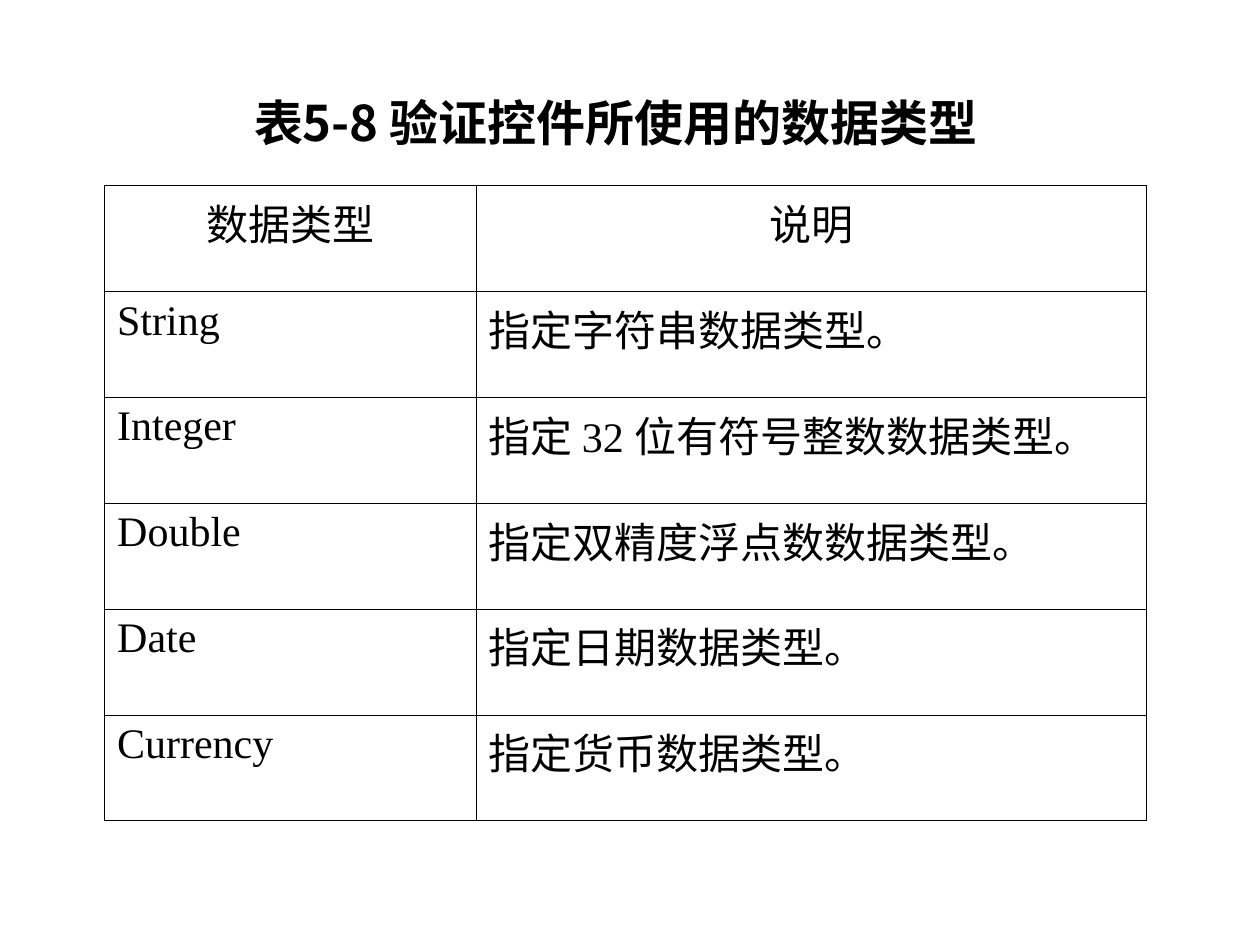
from dataclasses import dataclass

from lxml.etree import SubElement
from pptx import Presentation
from pptx.dml.color import RGBColor
from pptx.enum.text import MSO_ANCHOR as Anchor, MSO_AUTO_SIZE as AutoSize, PP_ALIGN as Align
from pptx.oxml.ns import qn
from pptx.util import Pt


@dataclass(frozen=True)
class Theme:
    ink: str = "000000"
    latin: str = "Times New Roman"
    cjk: str = "Noto Sans CJK SC"
    title_size: float = 28
    body_size: float = 24
    border: float = 0.34


class SlideBuilder:
    def __init__(self, prs, theme):
        self.theme = theme
        self.slide = prs.slides.add_slide(prs.slide_layouts[5])

    def set_text(self, tf, text, size, latin, align, bold=False):
        p = tf.paragraphs[0]
        p.text = text
        p.alignment = align
        font = p.font
        font.size, font.bold, font.name = Pt(size), bold, latin
        font.color.rgb = RGBColor.from_string(self.theme.ink)
        # East Asian typeface, which has no public setter
        for r in p.runs:
            r_pr = r._r.get_or_add_rPr()
            SubElement(r_pr, qn("a:ea"), typeface=self.theme.cjk)

    def title(self, text, left, top, width, height):
        sp = self.slide.shapes.title
        sp.left, sp.top, sp.width, sp.height = map(Pt, (left, top, width, height))
        tf = sp.text_frame
        tf.word_wrap = True
        tf.auto_size = AutoSize.NONE
        tf.vertical_anchor = Anchor.MIDDLE
        self.set_text(tf, text, self.theme.title_size, self.theme.cjk, Align.CENTER, bold=True)

    def outline(self, cell):
        """Draw a thin line on all four sides of a cell."""
        tc_pr = cell._tc.get_or_add_tcPr()
        for index, side in enumerate(("lnL", "lnR", "lnT", "lnB")):
            ln = tc_pr.makeelement(qn(f"a:{side}"), {"w": str(Pt(self.theme.border))})
            fill = SubElement(ln, qn("a:solidFill"))
            SubElement(fill, qn("a:srgbClr"), val=self.theme.ink)
            tc_pr.insert(index, ln)

    def table(self, rows, left, top, col_widths, row_height):
        frame = self.slide.shapes.add_table(
            len(rows), len(col_widths), Pt(left), Pt(top),
            Pt(sum(col_widths)), Pt(row_height * len(rows)))
        table = frame.table
        table.first_row = table.horz_banding = False
        for column, width in zip(table.columns, col_widths):
            column.width = Pt(width)
        for i, row in enumerate(rows):
            table.rows[i].height = Pt(row_height)
            align = Align.LEFT if i else Align.CENTER
            for j, text in enumerate(row):
                cell = table.cell(i, j)
                cell.fill.background()
                self.set_text(cell.text_frame, text, self.theme.body_size, self.theme.latin, align)
                self.outline(cell)


DATA_TYPES = [
    ("数据类型", "说明"),
    ("String", "指定字符串数据类型。"),
    ("Integer", "指定 32 位有符号整数数据类型。"),
    ("Double", "指定双精度浮点数数据类型。"),
    ("Date", "指定日期数据类型。"),
    ("Currency", "指定货币数据类型。"),
]


def main():
    prs = Presentation()
    prs.slide_width, prs.slide_height = Pt(720), Pt(540)
    s = SlideBuilder(prs, Theme())
    s.title("表5-8 验证控件所使用的数据类型", 111, 49, 481.5, 41)
    s.table(DATA_TYPES, 59.75, 106, (212.25, 383.25), 60.5)
    prs.save("out.pptx")


if __name__ == "__main__":
    main()
